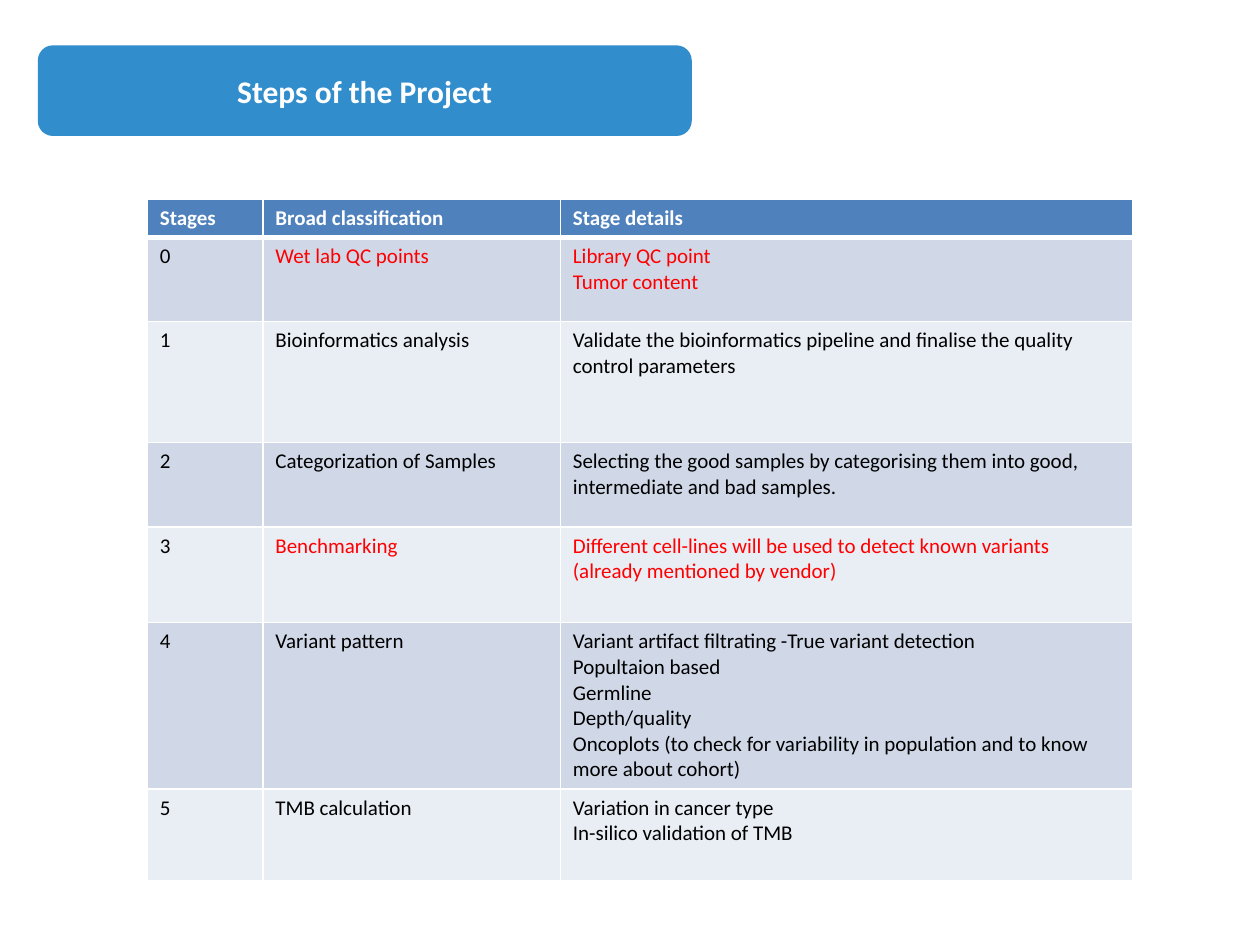
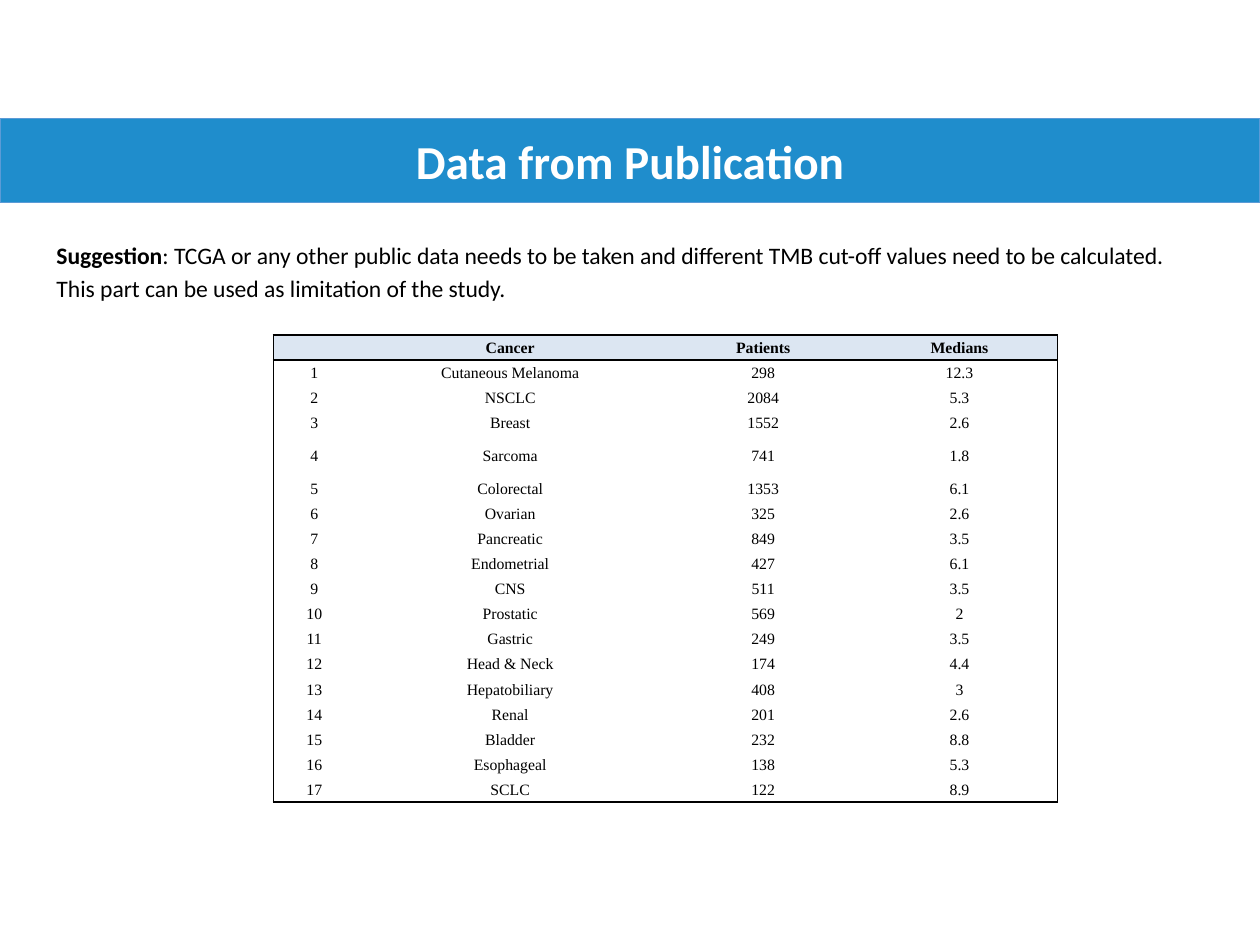
from dataclasses import dataclass
from typing import Callable, Optional

from lxml import etree
from pptx import Presentation
from pptx.dml.color import RGBColor
from pptx.enum.shapes import MSO_SHAPE
from pptx.enum.text import MSO_ANCHOR, MSO_AUTO_SIZE, PP_ALIGN
from pptx.oxml.ns import qn
from pptx.util import Pt

RECTANGLE = MSO_SHAPE.RECTANGLE
ROUNDED = MSO_SHAPE.ROUNDED_RECTANGLE
TOP = MSO_ANCHOR.TOP
MIDDLE = MSO_ANCHOR.MIDDLE
LEFT = PP_ALIGN.LEFT
CENTER = PP_ALIGN.CENTER
FIXED = MSO_AUTO_SIZE.NONE

WHITE = RGBColor(0xFF, 0xFF, 0xFF)
BLACK = RGBColor(0x00, 0x00, 0x00)
RED = RGBColor(0xFF, 0x00, 0x00)
STEPS_BLUE = RGBColor(0x32, 0x8D, 0xCC)
DATA_BLUE = RGBColor(0x1F, 0x8D, 0xCC)
EDGE_BLUE = RGBColor(0x5B, 0x9B, 0xD6)
HEADER_BLUE = RGBColor(0x4F, 0x81, 0xBD)
DARK_BAND = RGBColor(0xD0, 0xD8, 0xE8)
LIGHT_BAND = RGBColor(0xE9, 0xED, 0xF4)
PALE_HEADER = RGBColor(0xDC, 0xE6, 0xF2)

SANS = "Calibri"
SERIF = "Times New Roman"
TITLE_ONLY = 5

STAGES = [
    ("Stages", "Broad classification", "Stage details"),
    ("0", "Wet lab QC points", "Library QC point\nTumor content"),
    ("1", "Bioinformatics analysis",
     "Validate the bioinformatics pipeline and finalise the quality control parameters"),
    ("2", "Categorization of Samples",
     "Selecting the good samples by categorising them into good, intermediate and bad samples."),
    ("3", "Benchmarking",
     "Different cell-lines will be used to detect known variants (already mentioned by vendor)"),
    ("4", "Variant pattern",
     "Variant artifact filtrating -True variant detection\nPopultaion based\nGermline\n"
     "Depth/quality\nOncoplots (to check for variability in population and to know more about cohort)"),
    ("5", "TMB calculation", "Variation in cancer type\nIn-silico validation of TMB"),
]
RED_STAGES = {"0", "3"}

CANCERS = [
    ("Cutaneous Melanoma", "298", "12.3"),
    ("NSCLC", "2084", "5.3"),
    ("Breast", "1552", "2.6"),
    ("Sarcoma", "741", "1.8"),
    ("Colorectal", "1353", "6.1"),
    ("Ovarian", "325", "2.6"),
    ("Pancreatic", "849", "3.5"),
    ("Endometrial", "427", "6.1"),
    ("CNS", "511", "3.5"),
    ("Prostatic", "569", "2"),
    ("Gastric", "249", "3.5"),
    ("Head & Neck", "174", "4.4"),
    ("Hepatobiliary", "408", "3"),
    ("Renal", "201", "2.6"),
    ("Bladder", "232", "8.8"),
    ("Esophageal", "138", "5.3"),
    ("SCLC", "122", "8.9"),
]
CANCER_ROWS = [("", "Cancer", "Patients", "Medians")] + [
    (str(number), *cancer) for number, cancer in enumerate(CANCERS, 1)
]
SARCOMA_ROW = 4


@dataclass(frozen=True)
class TitleBand:
    text: str
    left: float
    top: float
    width: float
    height: float
    outline: MSO_SHAPE
    fill: RGBColor
    size: float
    edge: Optional[RGBColor] = None


@dataclass(frozen=True)
class Border:
    color: RGBColor
    width: float


Borders = tuple[Optional[Border], Optional[Border], Optional[Border], Optional[Border]]


@dataclass(frozen=True)
class CellStyle:
    color: RGBColor
    bold: bool
    fill: Optional[RGBColor]
    borders: Borders


@dataclass(frozen=True)
class Grid:
    left: float
    top: float
    widths: list[float]
    heights: list[float]
    rows: list[tuple[str, ...]]
    font: str
    size: float
    align: PP_ALIGN
    anchor: MSO_ANCHOR
    style: Callable[[int, int], CellStyle]
    margins: Optional[tuple[float, float, float, float]] = None


def format_run(run, font: str, size: float, color: RGBColor, bold: bool) -> None:
    run.font.name = font
    run.font.size = Pt(size)
    run.font.color.rgb = color
    run.font.bold = bold


def draw_title(slide, band: TitleBand) -> None:
    bounds = [Pt(v) for v in (band.left, band.top, band.width, band.height)]
    backdrop = slide.shapes.add_shape(band.outline, *bounds)
    backdrop.shadow.inherit = False
    backdrop.fill.solid()
    backdrop.fill.fore_color.rgb = band.fill
    if band.edge is None:
        backdrop.line.fill.background()
    else:
        backdrop.line.color.rgb = band.edge
        backdrop.line.width = Pt(0.75)
    title = slide.shapes.title
    title.left, title.top, title.width, title.height = bounds
    backdrop.element.addnext(title.element)
    frame = title.text_frame
    frame.text = band.text
    frame.auto_size = FIXED
    frame.vertical_anchor = MIDDLE
    frame.paragraphs[0].alignment = CENTER
    format_run(frame.paragraphs[0].runs[0], SANS, band.size, WHITE, True)


def set_borders(cell, borders: Borders) -> None:
    properties = cell._tc.get_or_add_tcPr()
    for tag, border in zip(("a:lnL", "a:lnR", "a:lnT", "a:lnB"), borders):
        line = etree.SubElement(properties, qn(tag))
        if border is None:
            line.set("w", "0")
            etree.SubElement(line, qn("a:noFill"))
        else:
            line.set("w", str(Pt(border.width)))
            solid = etree.SubElement(line, qn("a:solidFill"))
            etree.SubElement(solid, qn("a:srgbClr"), val=str(border.color))


def fill_cell(cell, text: str, grid: Grid, style: CellStyle) -> None:
    set_borders(cell, style.borders)
    if style.fill is None:
        cell.fill.background()
    else:
        cell.fill.solid()
        cell.fill.fore_color.rgb = style.fill
    if grid.margins:
        (cell.margin_left, cell.margin_top,
         cell.margin_right, cell.margin_bottom) = map(Pt, grid.margins)
    cell.vertical_anchor = grid.anchor
    cell.text_frame.text = text
    for paragraph in cell.text_frame.paragraphs:
        paragraph.alignment = grid.align
        for run in paragraph.runs:
            format_run(run, grid.font, grid.size, style.color, style.bold)
        if not paragraph.runs:
            etree.SubElement(paragraph._p, qn("a:endParaRPr"), sz=str(int(grid.size * 100)))


def draw_grid(slide, grid: Grid) -> None:
    table = slide.shapes.add_table(
        len(grid.rows), len(grid.widths), Pt(grid.left), Pt(grid.top),
        Pt(sum(grid.widths)), Pt(sum(grid.heights))).table
    table.horz_banding = False
    for column, width in zip(table.columns, grid.widths):
        column.width = Pt(width)
    for row, height in zip(table.rows, grid.heights):
        row.height = Pt(height)
    for r, texts in enumerate(grid.rows):
        for c, text in enumerate(texts):
            fill_cell(table.cell(r, c), text, grid, grid.style(r, c))


def stage_style(row: int, column: int) -> CellStyle:
    thin, thick = Border(WHITE, 1), Border(WHITE, 3)
    if row == 0:
        return CellStyle(WHITE, True, HEADER_BLUE, (thin, thin, thin, thick))
    is_red = column > 0 and STAGES[row][0] in RED_STAGES
    return CellStyle(RED if is_red else BLACK, False,
                     DARK_BAND if row % 2 else LIGHT_BAND,
                     (thin, thin, thick if row == 1 else thin, thin))


def cancer_style(row: int, column: int) -> CellStyle:
    rule = Border(BLACK, 1)
    is_header = row == 0
    borders = (
        rule if column == 0 else None,
        rule if column == len(CANCER_ROWS[0]) - 1 else None,
        rule if row <= 1 else None,
        rule if row in (0, len(CANCER_ROWS) - 1) else None,
    )
    return CellStyle(BLACK, is_header, PALE_HEADER if is_header else None, borders)


def draw_suggestion(slide) -> None:
    frame = slide.shapes.add_textbox(Pt(25.2), Pt(131.8), Pt(668), Pt(44.6)).text_frame
    frame.word_wrap = True
    paragraph = frame.paragraphs[0]
    paragraph.text = "Suggestion"
    paragraph.line_spacing = 1.15
    paragraph.add_run().text = (
        ": TCGA or any other public data needs to be taken and different TMB cut-off values "
        "need to be calculated. This part can be used as limitation of the study.")
    label, advice = paragraph.runs
    format_run(label, SANS, 13.5, BLACK, True)
    format_run(advice, SANS, 13.5, BLACK, False)


STEPS_TITLE = TitleBand("Steps of the Project", 21.6, 25.9, 373.7, 51.8,
                        ROUNDED, STEPS_BLUE, 18)
DATA_TITLE = TitleBand("Data from Publication", 0, 67.7, 720, 48.2,
                       RECTANGLE, DATA_BLUE, 27, EDGE_BLUE)
STAGE_GRID = Grid(84.2, 113.8, [66, 170, 327], [21, 48.2, 69, 48.2, 54.8, 95, 52.5],
                  STAGES, SANS, 12, LEFT, TOP, stage_style)
CANCER_GRID = Grid(156.2, 191.5, [46.8, 177, 112.2, 112.2],
                   [23 if row == SARCOMA_ROW else 14.35 for row in range(len(CANCER_ROWS))],
                   CANCER_ROWS, SERIF, 9, CENTER, MIDDLE, cancer_style,
                   (0.7, 0.7, 0.7, 0))


def main() -> None:
    deck = Presentation()
    deck.slide_width, deck.slide_height = Pt(720), Pt(540)
    layout = deck.slide_layouts[TITLE_ONLY]

    steps = deck.slides.add_slide(layout)
    draw_grid(steps, STAGE_GRID)
    draw_title(steps, STEPS_TITLE)

    publication = deck.slides.add_slide(layout)
    draw_title(publication, DATA_TITLE)
    draw_suggestion(publication)
    draw_grid(publication, CANCER_GRID)

    deck.save("out.pptx")


if __name__ == "__main__":
    main()
